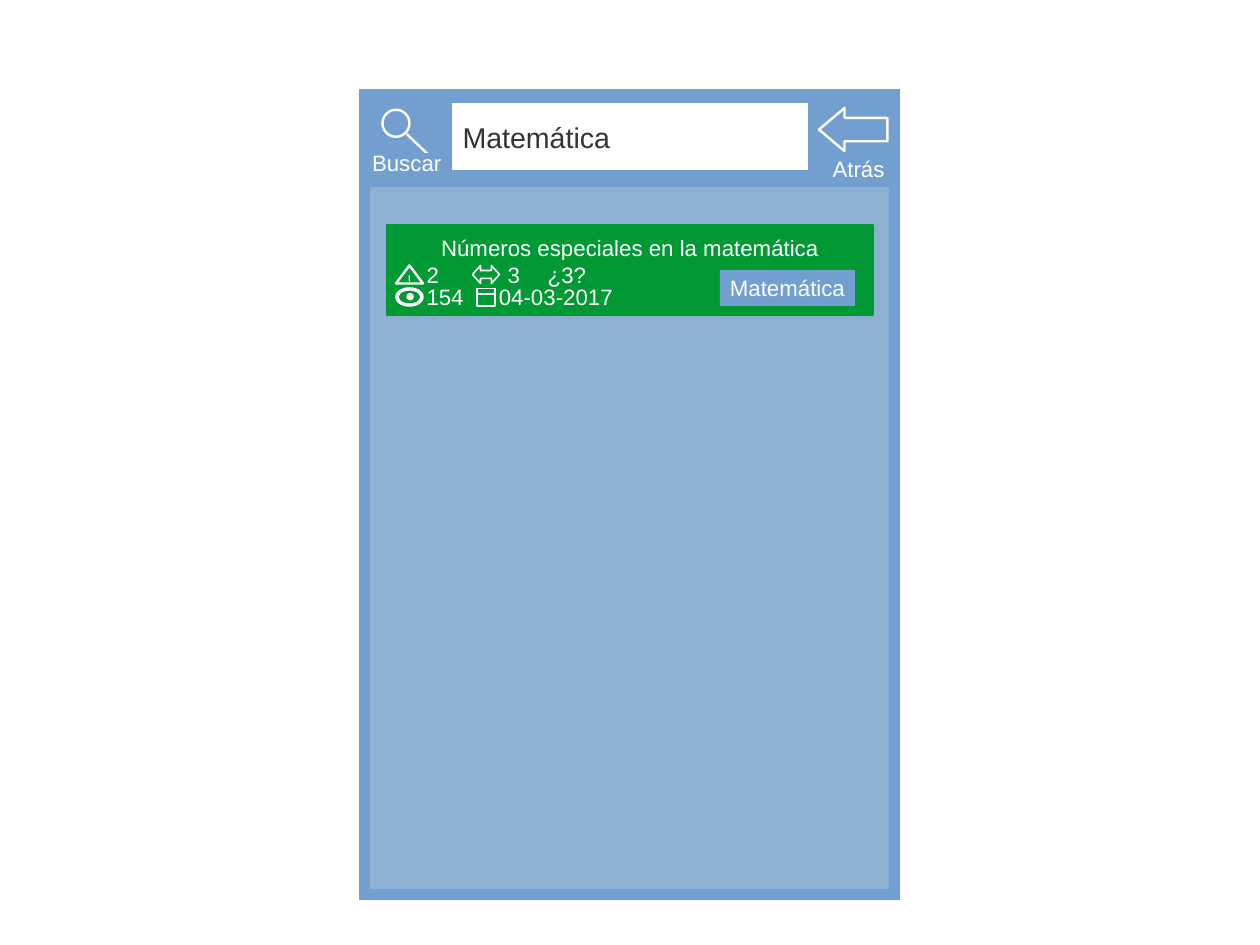
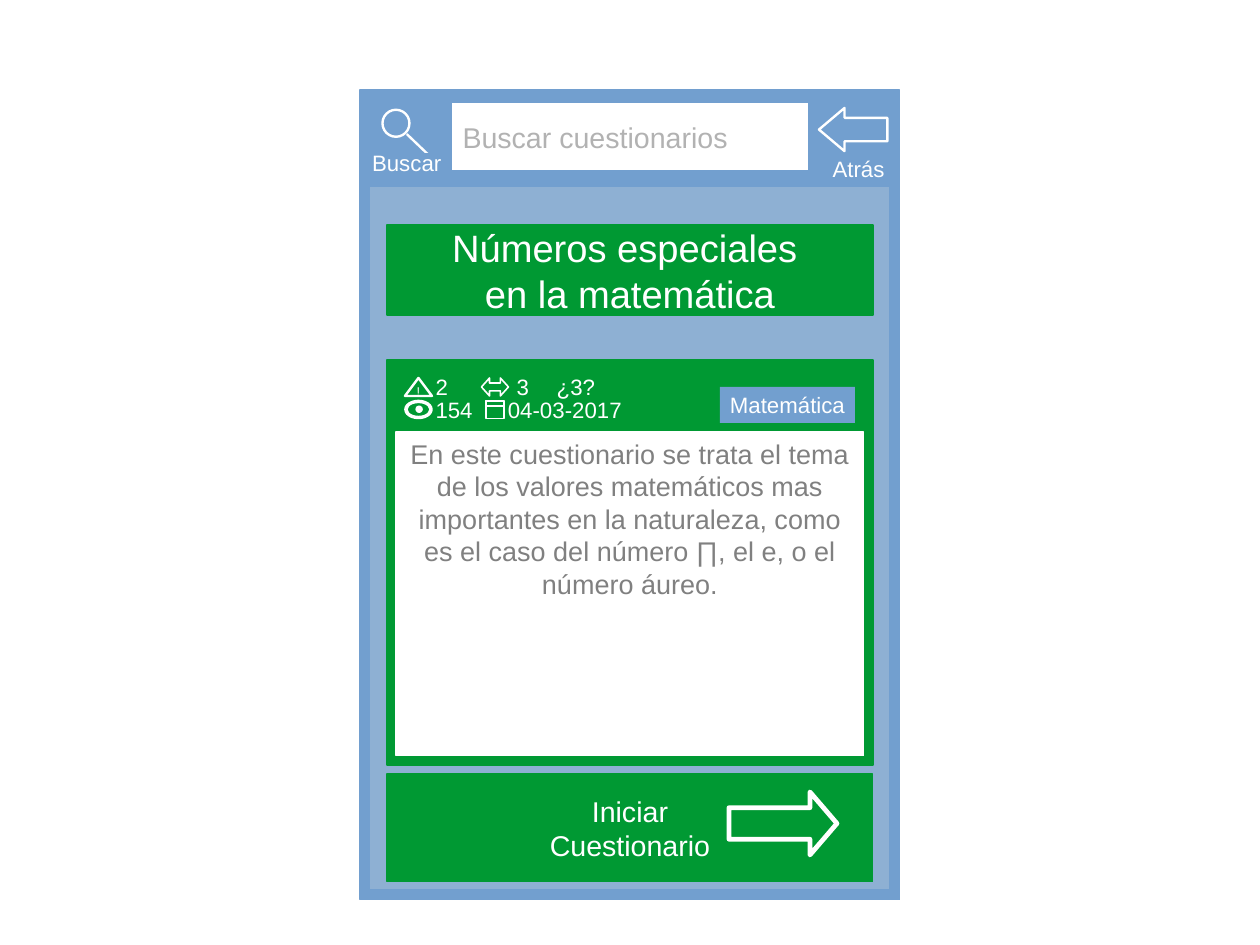
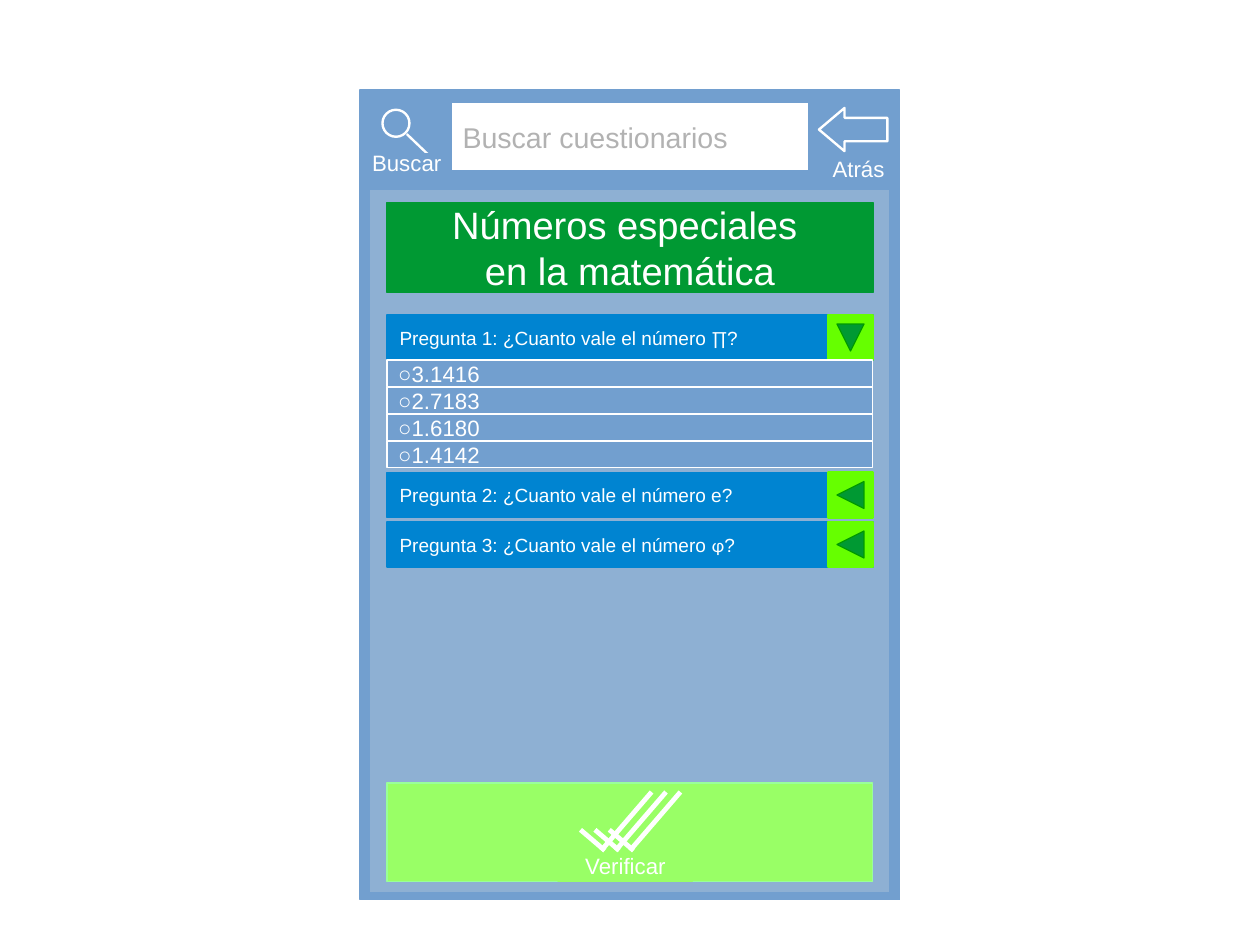
"""Builds three screens of a quiz app: search results, quiz details and questions."""
from lxml.etree import SubElement
from pptx import Presentation
from pptx.dml.color import RGBColor
from pptx.enum.shapes import MSO_CONNECTOR, MSO_SHAPE as Shape
from pptx.enum.text import MSO_ANCHOR as Anchor, PP_ALIGN as Align
from pptx.oxml.ns import qn
from pptx.util import Inches, Mm, Pt

WHITE = RGBColor(0xFF, 0xFF, 0xFF)
BLUE = RGBColor(0x72, 0x9F, 0xCF)
PALE_BLUE = RGBColor(0x8E, 0xB0, 0xD3)
DEEP_BLUE = RGBColor(0x00, 0x84, 0xD1)
GREEN = RGBColor(0x00, 0x99, 0x33)
EDGE_GREEN = RGBColor(0x00, 0x99, 0x00)
LIME = RGBColor(0x66, 0xFF, 0x00)
LIGHT_GREEN = RGBColor(0x99, 0xFF, 0x66)
MINT = RGBColor(0x99, 0xFF, 0x99)
DARK_GRAY = RGBColor(0x33, 0x33, 0x33)
MID_GRAY = RGBColor(0x80, 0x80, 0x80)
HINT_GRAY = RGBColor(0xB2, 0xB2, 0xB2)

CELL = Mm(2)
COLUMNS, ROWS = 140, 105
CARD_LEFT, CARD_WIDTH = 43, 54
TEXT_FONT, SYMBOL_FONT = "Arial", "Calibri"
TOPIC = "Matemática"
HINT = "Buscar cuestionarios"
TITLE_LINES = ["Números especiales ", "en la matemática"]


def grid(*cells):
    """Turn grid cells into lengths."""
    return [round(cell * CELL) for cell in cells]


def apply(target, values):
    """Set each named attribute of the target."""
    for name, value in values.items():
        setattr(target, name, value)


def block(canvas, kind, place, fill, line=None, weight=0, adjust=(), turn=0):
    """Add a filled shape at a grid place."""
    shape = canvas.add_shape(kind, *grid(*place))
    shape.shadow.inherit = False
    shape.rotation = turn
    shape.fill.solid()
    shape.fill.fore_color.rgb = fill
    if line is None:
        shape.line.fill.background()
    else:
        shape.line.color.rgb = line
        shape.line.width = Pt(weight)
    for index, value in enumerate(adjust):
        shape.adjustments[index] = value
    return shape


def write(shape, lines, size=14, ink=WHITE, align=Align.CENTER,
          anchor=Anchor.MIDDLE, inset=(0.11, 0.06)):
    """Write lines in a shape; a tuple alternates text and symbol runs."""
    frame = shape.text_frame
    side, edge = map(Inches, inset)
    apply(frame, {"word_wrap": False, "vertical_anchor": anchor,
                  "margin_left": side, "margin_right": side,
                  "margin_top": edge, "margin_bottom": edge})
    for index, line in enumerate(lines):
        paragraph = frame.add_paragraph() if index else frame.paragraphs[0]
        paragraph.alignment = align
        for part, text in enumerate((line,) if isinstance(line, str) else line):
            run = paragraph.add_run()
            run.text = text
            apply(run.font, {"size": Pt(size),
                             "name": SYMBOL_FONT if part % 2 else TEXT_FONT})
            run.font.color.rgb = ink


def stroke(canvas, start, end, weight):
    """Draw a white straight line between two grid points."""
    line = canvas.add_connector(MSO_CONNECTOR.STRAIGHT, *grid(*start, *end))
    line.line.color.rgb = WHITE
    line.line.width = Pt(weight)
    SubElement(line._element.spPr, qn("a:effectLst"))


def group(canvas):
    """Open a group and return its shapes."""
    return canvas.add_group_shape().shapes


def search_button(canvas):
    """Draw the magnifier with its label."""
    block(canvas, Shape.RECTANGLE, (40.5, 10.3, 9.5, 9.5), BLUE, BLUE, 1.5)
    block(canvas, Shape.OVAL, (42.5, 12.2, 3, 3), BLUE, WHITE, 1.5)
    stroke(canvas, (45.2, 14.9), (47.5, 17.1), 1.5)
    label = block(canvas, Shape.RECTANGLE, (41, 17.1, 8.4, 1.9), BLUE, BLUE, 1.5)
    write(label, ["Buscar"])


def back_button(canvas):
    """Draw the back arrow with its label."""
    block(canvas, Shape.RECTANGLE, (90, 10.5, 10, 10), BLUE, BLUE)
    write(block(canvas, Shape.RECTANGLE, (91, 17.7, 8.8, 2), BLUE, BLUE), ["Atrás"])
    block(canvas, Shape.LEFT_ARROW, (91, 12, 7.6, 4.8), BLUE, WHITE, 1.5, (0.542, 0.592))


def app_screen(deck, query, ink, panel_top=20.7):
    """Add a slide with the app frame and search bar; return its shapes."""
    canvas = deck.slides.add_slide(deck.slide_layouts[6]).shapes
    block(canvas, Shape.RECTANGLE, (40, 10, 60, 90), BLUE, BLUE)
    block(canvas, Shape.RECTANGLE, (41, panel_top, 57.8, 78.2), PALE_BLUE, BLUE)
    search_button(group(canvas))
    back_button(group(canvas))
    field = block(canvas, Shape.RECTANGLE, (50, 11.3, 40, 7.8), WHITE, BLUE, 2.3)
    write(field, [query], 18, ink, Align.LEFT)
    return canvas


def card(canvas, top, height, fill=GREEN, line=GREEN, weight=1):
    """Add a card as wide as the content column."""
    return block(canvas, Shape.RECTANGLE, (CARD_LEFT, top, CARD_WIDTH, height),
                 fill, line, weight)


def quiz_stats(canvas, left, top):
    """Draw the quiz figures and their icons."""
    figures = [("2", 2, 0, 7, Align.LEFT), ("154", 2, 2.5, 7, Align.LEFT),
               ("04-03-2017", 10.5, 2.5, 15, Align.RIGHT),
               ("3", 11, 0, 7, Align.LEFT), ("¿3?", 17.5, 0, 3, Align.CENTER)]
    for figure, x, y, width, align in figures:
        cell = block(canvas, Shape.RECTANGLE, (left + x, top + y, width, 3), GREEN, GREEN, 1)
        write(cell, [figure], align=align)
    icons = [(Shape.DONUT, 0, 3, 3, 2, WHITE, (0.105,)),
             (Shape.OVAL, 1.25, 3.65, 0.65, 0.65, WHITE, ()),
             (Shape.RECTANGLE, 9, 3.05, 2, 1.95, GREEN, ()),
             (Shape.RECTANGLE, 9, 3.05, 2, 0.6, GREEN, ()),
             (Shape.LEFT_RIGHT_ARROW, 8.5, 0.5, 3, 2, GREEN, (0.436, 0.449))]
    for kind, x, y, width, height, fill, adjust in icons:
        block(canvas, kind, (left + x, top + y, width, height), fill, WHITE, 1, adjust)
    warning = block(canvas, Shape.ISOSCELES_TRIANGLE, (left, top + 0.5, 3, 2), GREEN, WHITE, 1.5)
    write(warning, ["!"], 8, inset=(0.11, -0.01))


def topic_tag(canvas, top):
    """Add the topic tag at the right of a card."""
    tag = block(canvas, Shape.RECTANGLE, (80, top, 15, 4), BLUE)
    write(tag, [TOPIC], inset=(0.1, 0.05))


def question(canvas, top, line, opened=False):
    """Add a question bar with its fold button."""
    write(card(canvas, top, 5, DEEP_BLUE, DEEP_BLUE), [line], 12, align=Align.LEFT)
    block(canvas, Shape.RECTANGLE, (92, top, 5, 5), LIME, LIME, 1.5)
    block(canvas, Shape.ISOSCELES_TRIANGLE, (93, top + 1, 3, 3), GREEN, EDGE_GREEN,
          turn=180 if opened else 270)


def verify_button(canvas):
    """Draw the verify button with three ticks."""
    card(canvas, 87, 11, LIGHT_GREEN, MINT, 0)
    label = block(canvas, Shape.RECTANGLE, (62, 94.5, 15, 3.4), LIGHT_GREEN, LIGHT_GREEN)
    write(label, ["Verificar"])
    for tick in range(3):
        shift = 1.6 * tick
        stroke(canvas, (64.5 + shift, 92.2), (67.2 + shift, 94.5), 3)
        stroke(canvas, (72.4 + shift, 88), (66.8 + shift, 94.5), 3)


def results_slide(deck):
    """Show the quiz found by a search."""
    result = group(app_screen(deck, TOPIC, DARK_GRAY))
    card(result, 25, 10)
    title = block(result, Shape.RECTANGLE, (44, 26, 52, 3), GREEN, GREEN, 1)
    write(title, ["Números especiales en la matemática"])
    quiz_stats(result, 44, 29)
    topic_tag(result, 30)


def details_slide(deck):
    """Show the description of the quiz."""
    canvas = app_screen(deck, HINT, HINT_GRAY)
    write(card(canvas, 25, 10), TITLE_LINES, 24)
    card(canvas, 40, 45)
    quiz_stats(group(canvas), 45, 41.5)
    topic_tag(canvas, 43)
    summary = block(canvas, Shape.RECTANGLE, (44, 48, 52, 36), WHITE, WHITE)
    write(summary, ["En este cuestionario se trata el tema",
                    "de los valores matemáticos mas",
                    "importantes en la naturaleza, como",
                    "es el caso del número ∏, el e, o el",
                    "número áureo."],
          17, MID_GRAY, anchor=Anchor.TOP, inset=(0.1, 0.05))
    write(card(canvas, 86, 12, weight=0), ["Iniciar", "Cuestionario"], 18)
    block(canvas, Shape.RIGHT_ARROW, (81, 88, 12, 7), GREEN, WHITE, 3, (0.5, 0.429))


def questions_slide(deck):
    """Show the questions with the first one unfolded."""
    canvas = app_screen(deck, HINT, HINT_GRAY, 21)
    write(card(canvas, 22.5, 10), TITLE_LINES, 24)
    ask = "¿Cuanto vale el número "
    question(group(canvas), 35, (f"Pregunta 1: {ask}", "∏", "?"), True)
    for row, value in enumerate(["3.1416", "2.7183", "1.6180", "1.4142"]):
        option = card(canvas, 40 + 3 * row, 3, BLUE, WHITE, 0)
        write(option, [f"○{value}"], align=Align.LEFT, inset=(0.1, 0.05))
    question(group(canvas), 52.5, f"Pregunta 2: {ask}e?")
    question(group(canvas), 58, (f"Pregunta 3: {ask}", "φ", "?"))
    verify_button(group(canvas))


def main():
    """Build and save the deck."""
    deck = Presentation()
    apply(deck, {"slide_width": COLUMNS * CELL, "slide_height": ROWS * CELL})
    for build in (results_slide, details_slide, questions_slide):
        build(deck)
    deck.save("out.pptx")


if __name__ == "__main__":
    main()
